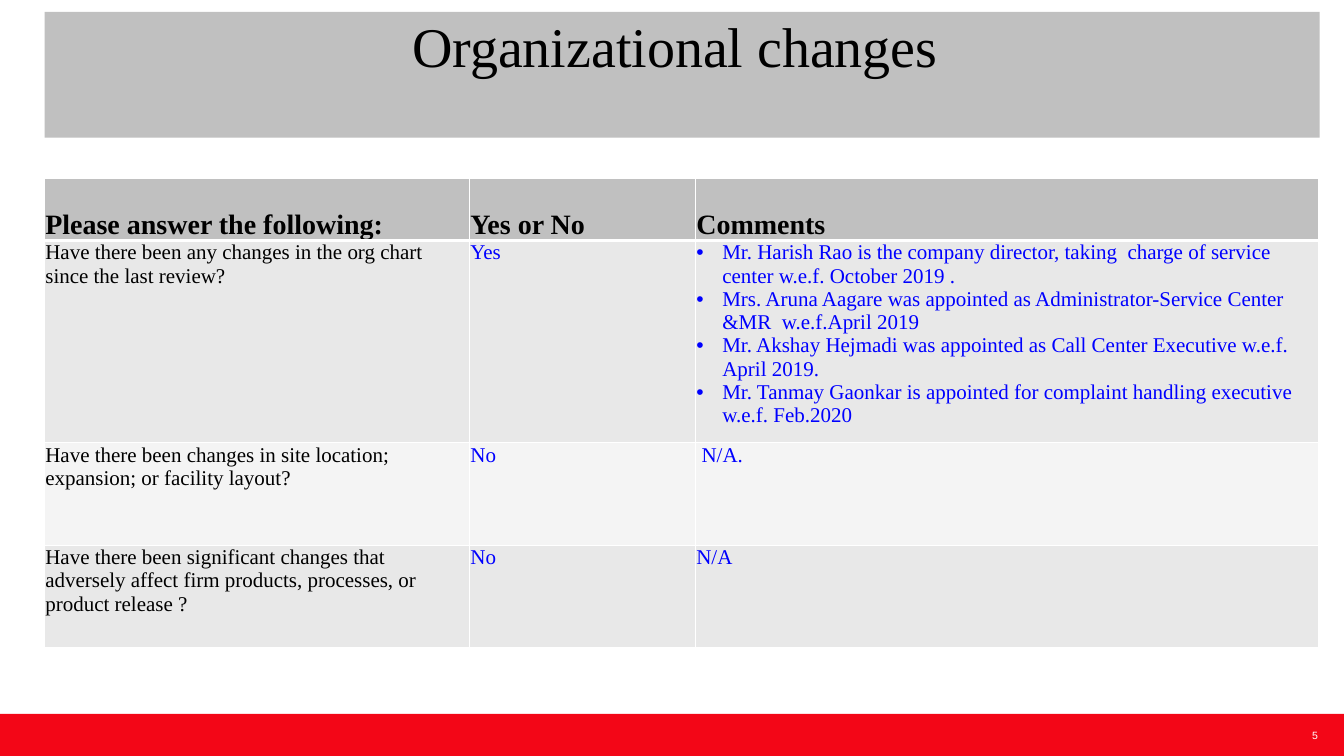
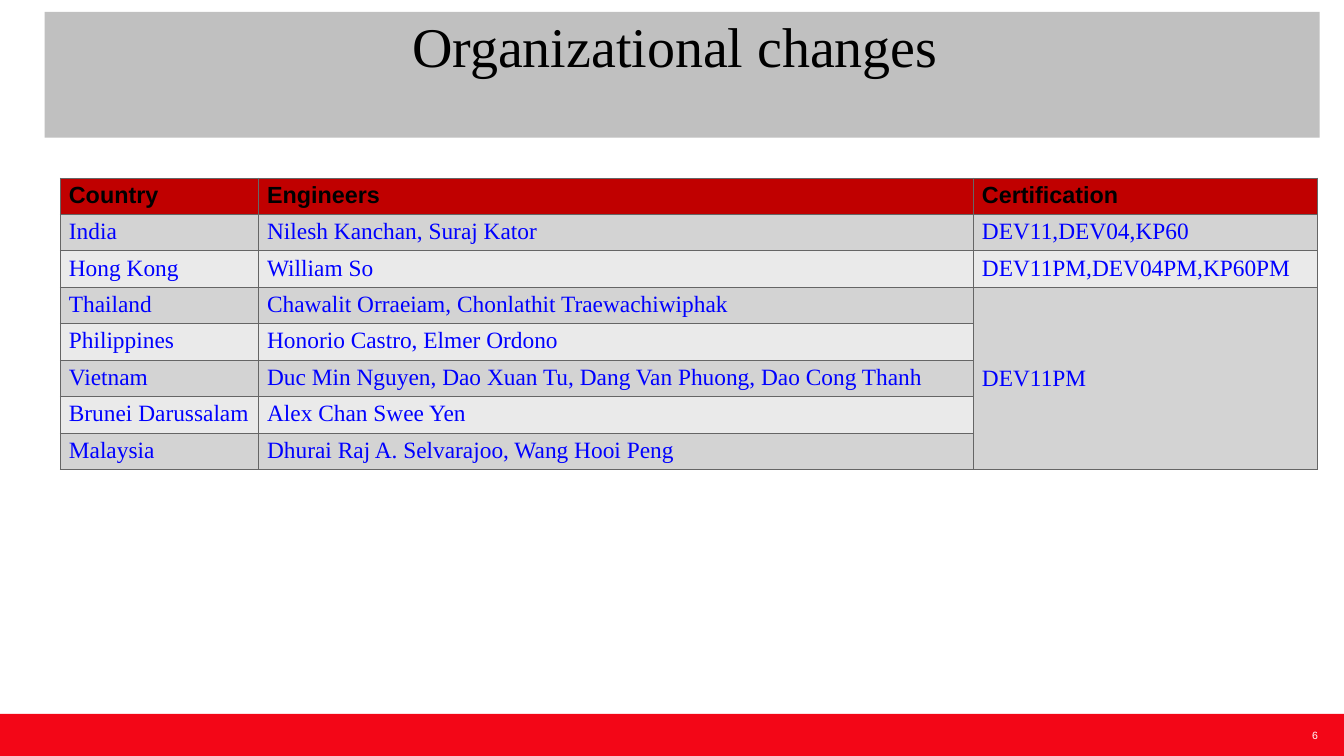
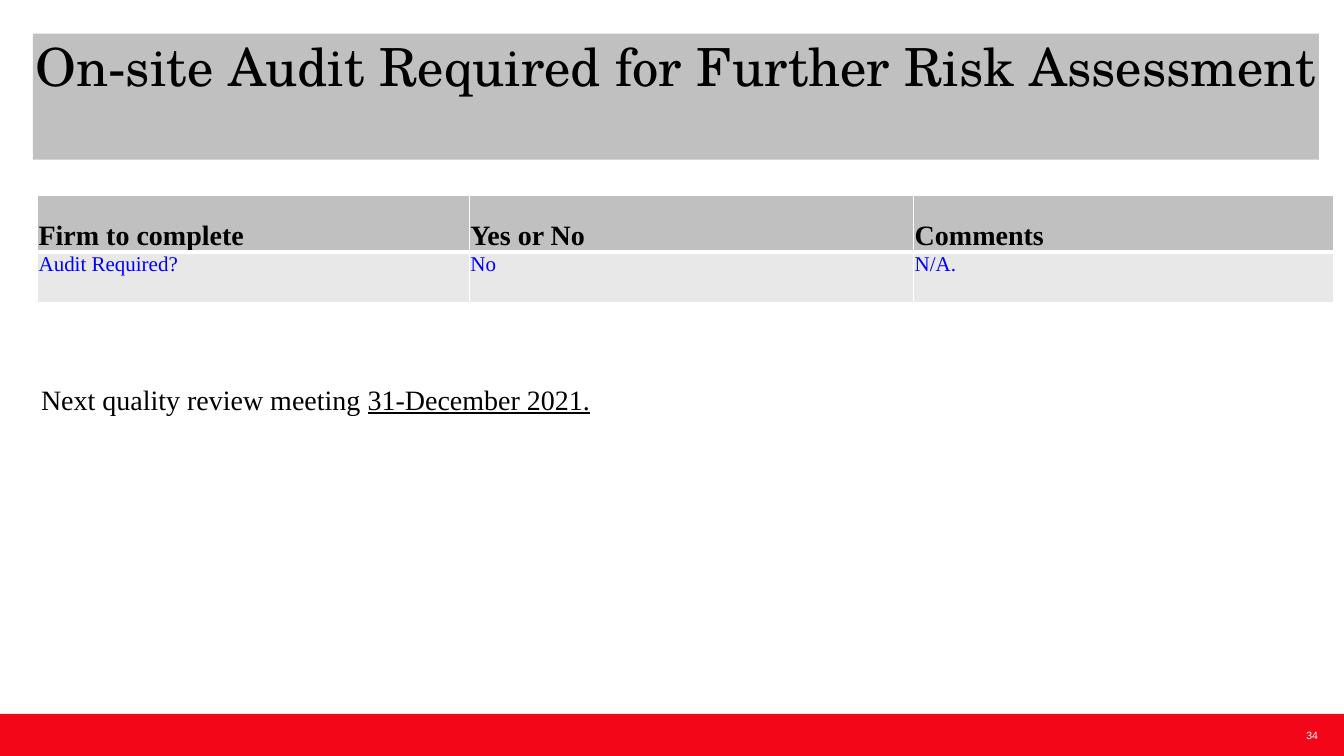
"""Build three quality review slides with a shared title band, footer and tables."""
from dataclasses import dataclass

from lxml import etree
from pptx import Presentation
from pptx.dml.color import RGBColor
from pptx.enum.shapes import MSO_SHAPE
from pptx.enum.text import MSO_ANCHOR, MSO_AUTO_SIZE, PP_ALIGN
from pptx.oxml.ns import qn
from pptx.util import Inches, Pt

RECTANGLE = MSO_SHAPE.RECTANGLE
TOP, MIDDLE, BOTTOM = MSO_ANCHOR.TOP, MSO_ANCHOR.MIDDLE, MSO_ANCHOR.BOTTOM
CENTER, RIGHT = PP_ALIGN.CENTER, PP_ALIGN.RIGHT
NO_AUTOFIT = MSO_AUTO_SIZE.NONE
TITLE_ONLY = 5


@dataclass(frozen=True)
class Theme:
    """Colours, fonts and type sizes shared by the slides."""
    black: str = "000000"
    white: str = "FFFFFF"
    answer: str = "0000FF"
    band: str = "C0C0C0"
    footer: str = "F30617"
    serif: str = "Times New Roman"
    sans: str = "Arial"
    display: str = "TeX Gyre Schola"
    title_size: int = 48
    long_title_size: int = 45
    note_size: int = 24
    number_size: int = 9


@dataclass(frozen=True)
class TableStyle:
    """Look of one kind of table."""
    header_fill: str
    header_font: str
    header_size: int
    header_anchor: MSO_ANCHOR
    header_rule: int
    body_size: int
    body_fills: tuple
    border: str
    margins: tuple


THEME = Theme()
REVIEW = TableStyle(THEME.band, THEME.serif, 24, BOTTOM, 3, 18,
                    ("E8E8E8", "F4F4F4"), THEME.white, (0.01, 0.01, 0.01, 0))
ROSTER = TableStyle("C00000", THEME.sans, 20, TOP, 1, 20,
                    ("D3D3D3", "EAEAEA"), "656565", (0.1, 0.05, 0.1, 0.05))


def paint(fill, color):
    """Give a fill one solid colour."""
    fill.solid()
    fill.fore_color.rgb = RGBColor.from_string(color)


def add_run(paragraph, text, font, size, color, bold=False, underline=False):
    """Append one formatted run to a paragraph."""
    run = paragraph.add_run()
    run.text = text
    run.font.name = font
    run.font.size = Pt(size)
    run.font.bold = bold
    run.font.underline = underline
    run.font.color.rgb = RGBColor.from_string(color)


def set_margins(target, margins):
    """Set left, top, right and bottom margins of a cell or text frame."""
    left, top, right, bottom = map(Inches, margins)
    target.margin_left, target.margin_top = left, top
    target.margin_right, target.margin_bottom = right, bottom


def add_bullet(paragraph):
    """Give a paragraph a round bullet with a hanging indent."""
    properties = paragraph._p.get_or_add_pPr()
    properties.set("marL", str(Inches(0.31)))
    properties.set("indent", str(-Inches(0.31)))
    etree.SubElement(properties, qn("a:buFont")).set("typeface", THEME.sans)
    etree.SubElement(properties, qn("a:buChar")).set("char", "•")


def set_borders(cell, color, widths):
    """Draw the four borders of a cell, each with its own width."""
    properties = cell._tc.get_or_add_tcPr()
    for side in ("lnL", "lnR", "lnT", "lnB"):
        line = etree.SubElement(properties, qn(f"a:{side}"))
        line.set("w", str(Pt(widths.get(side, 1))))
        fill = etree.SubElement(line, qn("a:solidFill"))
        etree.SubElement(fill, qn("a:srgbClr")).set("val", color)


def write_cell(cell, content, font, size, color, bold):
    """Write a string, or a list of strings as bullets, into a cell."""
    items = content if isinstance(content, list) else [content]
    frame = cell.text_frame
    for index, item in enumerate(items):
        paragraph = frame.add_paragraph() if index else frame.paragraphs[0]
        if isinstance(content, list):
            add_bullet(paragraph)
        if item:
            add_run(paragraph, item, font, size, color, bold)


def add_styled_table(slide, rows, left, top, widths, heights, style,
                     first_column_color=THEME.answer):
    """Add a table with a header row and banded body rows."""
    table = slide.shapes.add_table(
        len(rows), len(widths), Inches(left), Inches(top),
        Inches(sum(widths)), Inches(sum(heights))).table
    table.first_row = table.horz_banding = False
    for column, width in zip(table.columns, widths):
        column.width = Inches(width)
    for row_index, (values, height) in enumerate(zip(rows, heights)):
        table.rows[row_index].height = Inches(height)
        header = row_index == 0
        rule_side = {0: "lnB", 1: "lnT"}.get(row_index)
        for column_index, value in enumerate(values):
            cell = table.cell(row_index, column_index)
            set_margins(cell, style.margins)
            set_borders(cell, style.border, {rule_side: style.header_rule})
            if header:
                cell.vertical_anchor = style.header_anchor
                paint(cell.fill, style.header_fill)
                write_cell(cell, value, style.header_font, style.header_size,
                           THEME.black, True)
            else:
                cell.vertical_anchor = TOP
                paint(cell.fill, style.body_fills[(row_index - 1) % 2])
                color = THEME.answer if column_index else first_column_color
                write_cell(cell, value, THEME.serif, style.body_size, color, False)
    return table


def add_text_box(slide, left, top, width, height):
    """Add a wrapping text box and return its text frame."""
    box = slide.shapes.add_textbox(
        Inches(left), Inches(top), Inches(width), Inches(height))
    box.text_frame.word_wrap = True
    return box.text_frame


def add_layout_footer(slide):
    """Place the footer band on the layout that the slides share."""
    band = slide.shapes.add_shape(
        RECTANGLE, 0, Inches(8.5), Inches(16), Inches(0.5))
    band.shadow.inherit = False
    paint(band.fill, THEME.footer)
    band.line.fill.background()
    slide.slide_layout.shapes.element.insert(2, band.element)


def add_review_slide(presentation, title, number, left=0.53, top=0.14, width=15.18,
                     font=THEME.serif, size=THEME.title_size):
    """Add a slide with its title band and slide number."""
    slide = presentation.slides.add_slide(presentation.slide_layouts[TITLE_ONLY])
    shape = slide.shapes.title
    shape.left, shape.top = Inches(left), Inches(top)
    shape.width, shape.height = Inches(width), Inches(1.5)
    paint(shape.fill, THEME.band)
    frame = shape.text_frame
    frame.auto_size = NO_AUTOFIT
    frame.word_wrap = True
    frame.vertical_anchor = TOP
    set_margins(frame, (0, 0, 0, 0))
    frame.paragraphs[0].alignment = CENTER
    add_run(frame.paragraphs[0], title, font, size, THEME.black)

    number_frame = add_text_box(slide, 15.25, 8.5, 0.44, 0.5)
    number_frame.vertical_anchor = MIDDLE
    set_margins(number_frame, (0, 0, 0, 0))
    number_frame.paragraphs[0].alignment = RIGHT
    add_run(number_frame.paragraphs[0], number, THEME.sans, THEME.number_size,
            THEME.white)
    return slide


def build_changes_slide(presentation):
    """Build the slide of questions about organizational changes."""
    slide = add_review_slide(presentation, "Organizational changes ", "5")
    add_layout_footer(slide)
    appointments = [
        "Mr. Harish Rao is the company director, taking  charge of service center "
        "w.e.f. October 2019 .",
        "Mrs. Aruna Aagare was appointed as Administrator-Service Center &MR  "
        "w.e.f.April 2019",
        "Mr. Akshay Hejmadi was appointed as Call Center Executive w.e.f. April 2019.",
        "Mr. Tanmay Gaonkar is appointed for complaint handling executive w.e.f. "
        "Feb.2020",
    ]
    rows = [
        ("Please answer the following:", "Yes or No", "Comments"),
        ("Have there been any changes in the org chart since the last review?",
         "Yes", appointments),
        ("Have there been changes in site location; expansion; or facility layout?",
         "No", " N/A."),
        ("Have there been significant changes that adversely affect firm products, "
         "processes, or product release ?", "No", "N/A"),
    ]
    add_styled_table(slide, rows, 0.53, 2.13, (5.06, 2.69, 7.42),
                     (0.73, 2.22, 1.22, 1.22), REVIEW, THEME.black)


def build_engineers_slide(presentation):
    """Build the slide of engineers by country."""
    slide = add_review_slide(presentation, "Organizational changes ", "6")
    rows = [
        ("Country", "Engineers", "Certification"),
        ("India", "Nilesh Kanchan, Suraj Kator", "DEV11,DEV04,KP60"),
        ("Hong Kong", "William So", "DEV11PM,DEV04PM,KP60PM"),
        ("Thailand", "Chawalit Orraeiam, Chonlathit Traewachiwiphak", "DEV11PM"),
        ("Philippines", "Honorio Castro, Elmer Ordono", ""),
        ("Vietnam", "Duc Min Nguyen, Dao Xuan Tu, Dang Van Phuong, Dao Cong Thanh", ""),
        ("Brunei Darussalam", "Alex Chan Swee Yen", ""),
        ("Malaysia", "Dhurai Raj A. Selvarajoo, Wang Hooi Peng", ""),
    ]
    table = add_styled_table(slide, rows, 0.72, 2.12, (2.36, 8.51, 4.1),
                             [0.41] * len(rows), ROSTER)
    shared_certification = table.cell(3, 2)
    shared_certification.merge(table.cell(7, 2))
    shared_certification.vertical_anchor = MIDDLE


def build_audit_slide(presentation):
    """Build the slide about the on-site audit and the next meeting."""
    slide = add_review_slide(
        presentation, "On-site Audit Required for Further Risk Assessment ", "34",
        0.39, 0.4, 15.31, THEME.display, THEME.long_title_size)
    rows = [("Firm to complete", "Yes or No", "Comments"),
            ("Audit Required?", "No", "N/A.")]
    add_styled_table(slide, rows, 0.45, 2.33, (5.14, 5.29, 4.99), (0.67, 0.6), REVIEW)
    paragraph = add_text_box(slide, 0.39, 4.5, 12.97, 0.5).paragraphs[0]
    add_run(paragraph, "Next quality review meeting ", THEME.serif, THEME.note_size,
            THEME.black)
    add_run(paragraph, "31-December 2021.", THEME.serif, THEME.note_size,
            THEME.black, underline=True)


def main():
    """Build and save the presentation."""
    presentation = Presentation()
    presentation.slide_width, presentation.slide_height = Inches(16), Inches(9)
    build_changes_slide(presentation)
    build_engineers_slide(presentation)
    build_audit_slide(presentation)
    presentation.save("out.pptx")


if __name__ == "__main__":
    main()
